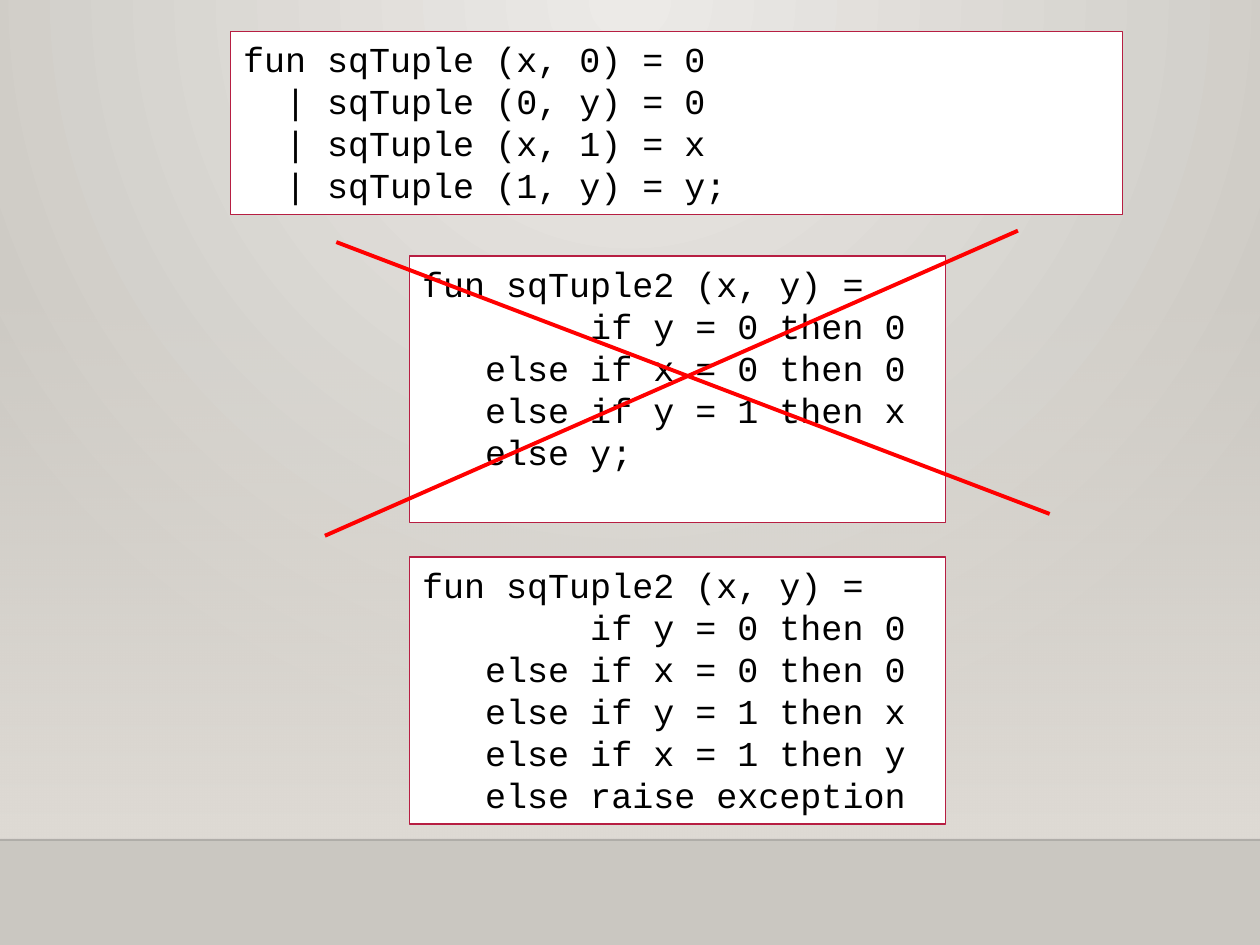
from dataclasses import dataclass

from lxml import etree
from pptx import Presentation
from pptx import util as u
from pptx.dml.color import RGBColor
from pptx.enum import shapes, text
from pptx.oxml import ns


@dataclass(frozen=True)
class Theme:
    glow: str = "ECEAE7"
    wall: str = "CAC7C1"
    haze: str = "DFDBD5"
    floor_edge: str = "000001"
    paper: str = "FFFFFF"
    frame: str = "B71E42"
    ink: str = "000000"
    cross: str = "FF0000"
    code_font: str = "Courier New"
    code_size: int = 20
    frame_width: float = 0.75
    edge_width: float = 1
    cross_width: float = 2.25


def set_alpha(color, percent):
    etree.SubElement(color, ns.qn("a:alpha"), val=str(percent * 1000))


class CodeSlide:
    def __init__(self, slide, theme):
        self.slide = slide
        self.theme = theme

    def gradient(self, fill, start, end):
        fill.gradient()
        for stop, color in zip(fill.gradient_stops, (start, end)):
            stop.color.rgb = RGBColor.from_string(color)

    def backdrop(self):
        self.gradient(self.slide.background.fill, self.theme.glow, self.theme.wall)
        linear = next(self.slide.element.iter(ns.qn("a:lin")))
        radial = etree.Element(ns.qn("a:path"), {"path": "circle"})
        etree.SubElement(radial, ns.qn("a:fillToRect"), l="43000", t="0", r="43000", b="100000")
        linear.getparent().replace(linear, radial)

    def haze(self, left, top, width, height):
        band = self.slide.shapes.add_shape(
            shapes.MSO_SHAPE.RECTANGLE, *map(u.Cm, (left, top, width, height)))
        band.shadow.inherit = False
        band.line.fill.background()
        self.gradient(band.fill, self.theme.haze, self.theme.haze)
        band.fill.gradient_angle = 270
        set_alpha(next(band.element.spPr.iter(ns.qn("a:srgbClr"))), 0)

    def line(self, start, end, color, width, opacity=100):
        stroke = self.slide.shapes.add_connector(
            shapes.MSO_CONNECTOR.STRAIGHT, *map(u.Cm, start + end))
        stroke.line.color.rgb = RGBColor.from_string(color)
        stroke.line.width = u.Pt(width)
        properties = stroke.element.spPr
        if opacity < 100:
            set_alpha(next(properties.iter(ns.qn("a:srgbClr"))), opacity)
        etree.SubElement(properties, ns.qn("a:effectLst"))

    def code(self, left, top, width, height, lines):
        theme = self.theme
        panel = self.slide.shapes.add_textbox(*map(u.Cm, (left, top, width, height)))
        panel.fill.solid()
        panel.fill.fore_color.rgb = RGBColor.from_string(theme.paper)
        panel.line.color.rgb = RGBColor.from_string(theme.frame)
        panel.line.width = u.Pt(theme.frame_width)
        frame = panel.text_frame
        frame.word_wrap = True
        frame.vertical_anchor = text.MSO_ANCHOR.TOP
        frame.text = "\n".join(lines)
        for paragraph in frame.paragraphs:
            paragraph.font.name = theme.code_font
            paragraph.font.size = u.Pt(theme.code_size)
            paragraph.font.color.rgb = RGBColor.from_string(theme.ink)


def main():
    width, height = 25.4, 19.05
    floor = 16.93
    haze_top = 5.59
    theme = Theme()
    deck = Presentation()
    deck.slide_width, deck.slide_height = u.Cm(width), u.Cm(height)
    page = CodeSlide(deck.slides.add_slide(deck.slide_layouts[6]), theme)

    page.backdrop()
    page.haze(0, haze_top, width, floor - haze_top)
    page.line((0, floor), (width, floor), theme.floor_edge, theme.edge_width, opacity=20)

    page.code(4.65, 0.64, 17.98, 3.68, [
        "fun sqTuple (x, 0) = 0",
        "  | sqTuple (0, y) = 0",
        "  | sqTuple (x, 1) = x",
        "  | sqTuple (1, y) = y;",
    ])

    shared_start = [
        "fun sqTuple2 (x, y) =",
        "        if y = 0 then 0",
        "   else if x = 0 then 0",
        "   else if y = 1 then x",
    ]
    correct_end = ["   else if x = 1 then y", "   else raise exception"]
    wrong_end = ["   else y;"]
    for top, ending in ((11.23, correct_end), (5.16, wrong_end)):
        page.code(8.26, top, 10.8, 5.38, shared_start + ending)

    for start, end in (((6.78, 4.88), (21.16, 10.36)), ((6.55, 10.8), (20.52, 4.65))):
        page.line(start, end, theme.cross, theme.cross_width)

    deck.save("out.pptx")


if __name__ == "__main__":
    main()
